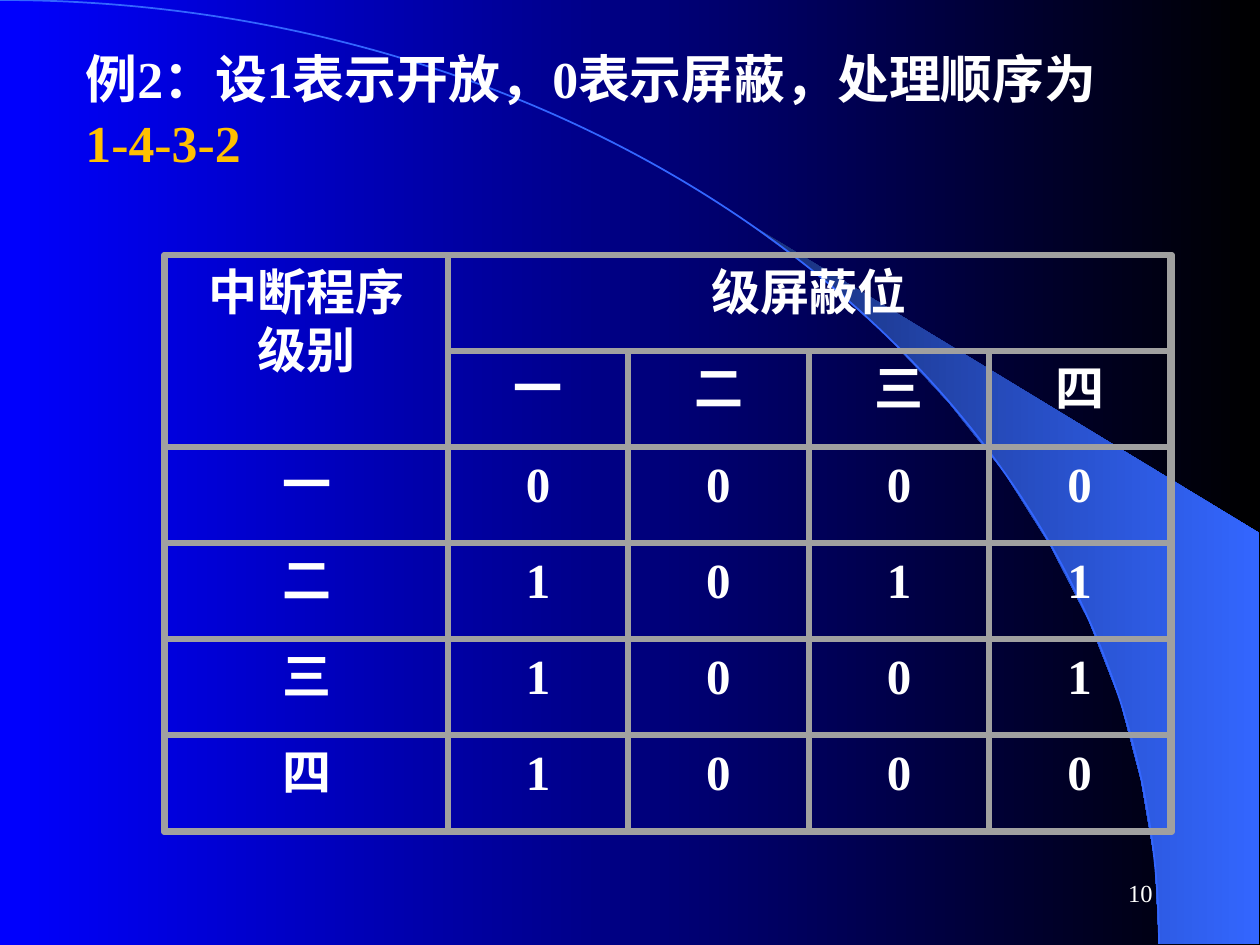
"""Build the slide on interrupt mask bits for the order 1-4-3-2."""
import math

import pptx
import pptx.util
import pptx.dml.color
import pptx.enum.shapes
import pptx.enum.text
import pptx.oxml
import pptx.oxml.ns

RGB = pptx.dml.color.RGBColor
ALIGN = pptx.enum.text.PP_ALIGN
ANCHOR = pptx.enum.text.MSO_ANCHOR
BLUE = RGB(0x00, 0x00, 0xFF)
BLACK = RGB(0x00, 0x00, 0x00)
NAVY = RGB(0x18, 0x2F, 0x76)
SKY = RGB(0x33, 0x66, 0xFF)
WHITE = RGB(0xFF, 0xFF, 0xFF)
GOLD = RGB(0xFF, 0xC0, 0x00)
GREY = RGB(0xA0, 0xA0, 0xA0)

FONT = "Times New Roman"
PX = 914400 // 126
WIDE, HIGH = 1260, 945
TITLE = [("例2：设1表示开放，0表示屏蔽，处理顺序为", WHITE), ("1-4-3-2", GOLD)]
PAGE = [("10", WHITE)]
HEADS = [("中断程序\n级别", 0, 0, 1, 2), ("级屏蔽位", 1, 0, 4, 1)]
ROWS = [
    ["", "一", "二", "三", "四"],
    ["一", "0", "0", "0", "0"],
    ["二", "1", "0", "1", "1"],
    ["三", "1", "0", "0", "1"],
    ["四", "1", "0", "0", "0"],
]
EDGES = [165, 448, 628, 809, 989, 1170]
TOP, STEP = 255, 96
FRAME = (164, 255, 1008, 577)
ARC_W, ARC_H = 1159, 944
ARC = [(0, 0), (640, 0), (1159, 422), (1159, 944)]
WEDGE = [(1259, 944), (1259, 533)]


def put(frame, lines, size=28, bold=True, align=ALIGN.CENTER, hang=0, space=None, before=None):
    frame.word_wrap = True
    for i, (text, color) in enumerate(lines):
        para = frame.paragraphs[0] if i == 0 else frame.add_paragraph()
        para.alignment = align
        para.line_spacing = space
        para.space_before = before
        if hang:
            props = para._p.get_or_add_pPr()
            props.set("marL", str(hang * PX))
            props.set("indent", str(-hang * PX))
        run = para.add_run()
        run.text = text
        run.font.name = FONT
        run.font.size = pptx.util.Pt(size)
        run.font.bold = bold
        run.font.color.rgb = color


def box(slide, *area):
    return slide.shapes.add_textbox(*(n * PX for n in area)).text_frame


def fade(fill, first, last):
    fill.gradient()
    fill.gradient_angle = 0
    for stop, color, place in zip(fill.gradient_stops, (first, last), (0, 1)):
        stop.color.rgb = color
        stop.position = place


def trace(slide, points, close):
    pen = slide.shapes.build_freeform(*points[0], scale=PX)
    pen.add_line_segments(points[1:], close=close)
    shape = pen.convert_to_shape()
    shape.shadow.inherit = False
    return shape


def bend(shape):
    steps = shape._element.xpath(".//a:lnTo")
    curve = pptx.oxml.parse_xml(f'<a:cubicBezTo {pptx.oxml.ns.nsdecls("a")}/>')
    steps[0].addprevious(curve)
    for step in steps:
        curve.append(step[0])
        step.getparent().remove(step)


def draw_back(slide):
    fade(slide.background.fill, BLUE, BLACK)
    turns = [math.radians(d) for d in range(40, 91, 5)]
    rim = [(round(ARC_W * math.sin(t)), round(ARC_H * (1 - math.cos(t)))) for t in turns]
    wedge = trace(slide, rim + WEDGE, True)
    fade(wedge.fill, NAVY, SKY)
    wedge.line.fill.background()
    arc = trace(slide, ARC, False)
    bend(arc)
    arc.fill.background()
    arc.line.color.rgb = SKY
    arc.line.width = pptx.util.Pt(1)


def rect(slide, *area):
    kind = pptx.enum.shapes.MSO_SHAPE.RECTANGLE
    shape = slide.shapes.add_shape(kind, *(n * PX for n in area))
    shape.shadow.inherit = False
    shape.fill.background()
    shape.line.color.rgb = GREY
    shape.line.width = pptx.util.Pt(3)
    return shape


def draw_grid(slide):
    cells = [(text, c, r, 1, 1) for r, row in enumerate(ROWS, 1)
             for c, text in enumerate(row) if text]
    for text, col, row, across, down in HEADS + cells:
        left, right = EDGES[col], EDGES[col + across]
        frame = rect(slide, left, TOP + row * STEP, right - left, down * STEP).text_frame
        frame.vertical_anchor = ANCHOR.TOP
        put(frame, [(line, WHITE) for line in text.split("\n")], space=pptx.util.Pt(33.6))
    rect(slide, *FRAME)


def main():
    deck = pptx.Presentation()
    deck.slide_width, deck.slide_height = WIDE * PX, HIGH * PX
    slide = deck.slides.add_slide(deck.slide_layouts[6])
    draw_back(slide)
    page = box(slide, 903, 861, 262, 63)
    page.vertical_anchor = ANCHOR.MIDDLE
    put(page, PAGE, size=14, bold=False, align=ALIGN.RIGHT)
    put(box(slide, 73, 53, 1166, 158), TITLE, size=29.6, align=ALIGN.JUSTIFY,
        hang=48, space=0.8, before=pptx.util.Pt(8))
    draw_grid(slide)
    deck.save("out.pptx")


if __name__ == "__main__":
    main()
